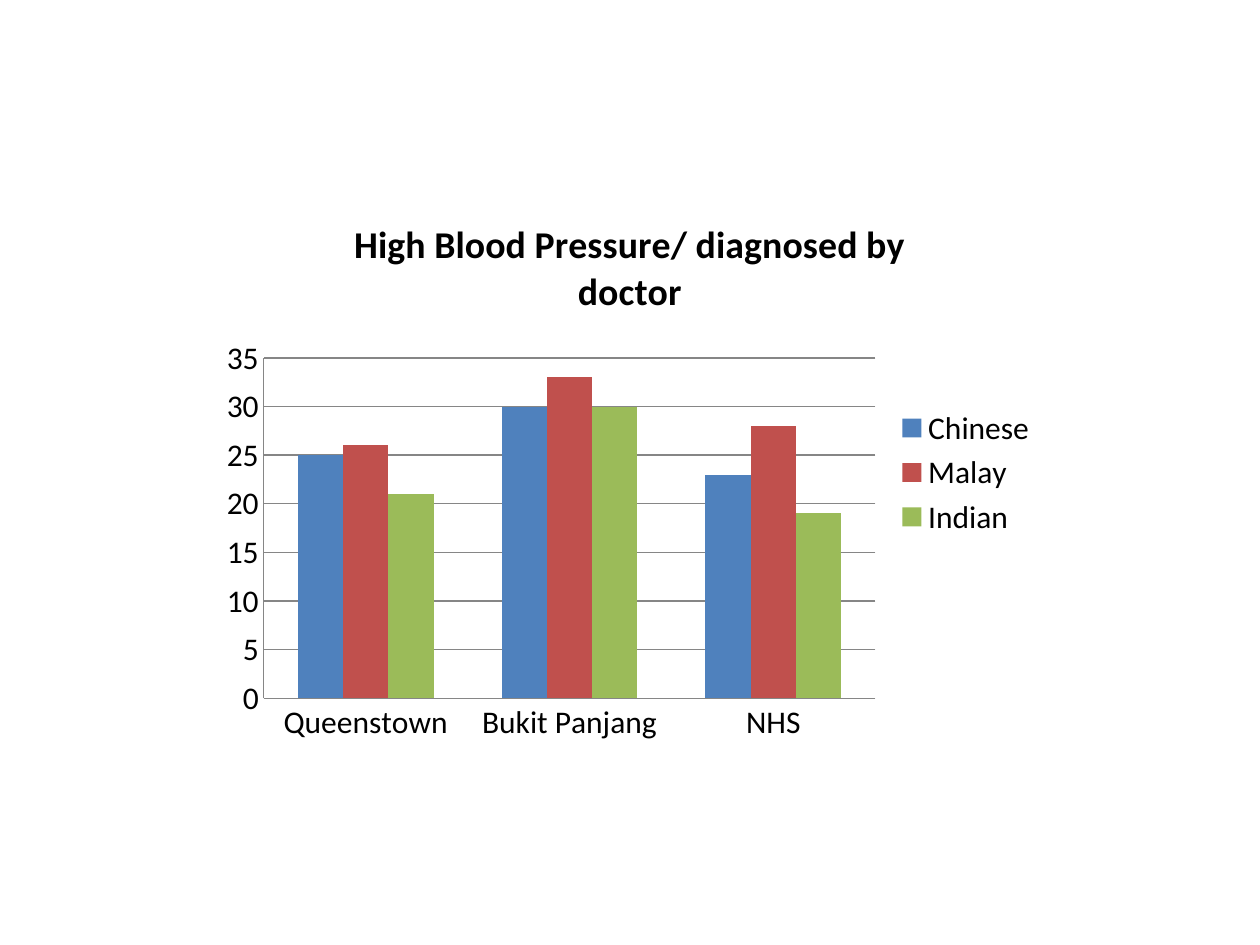
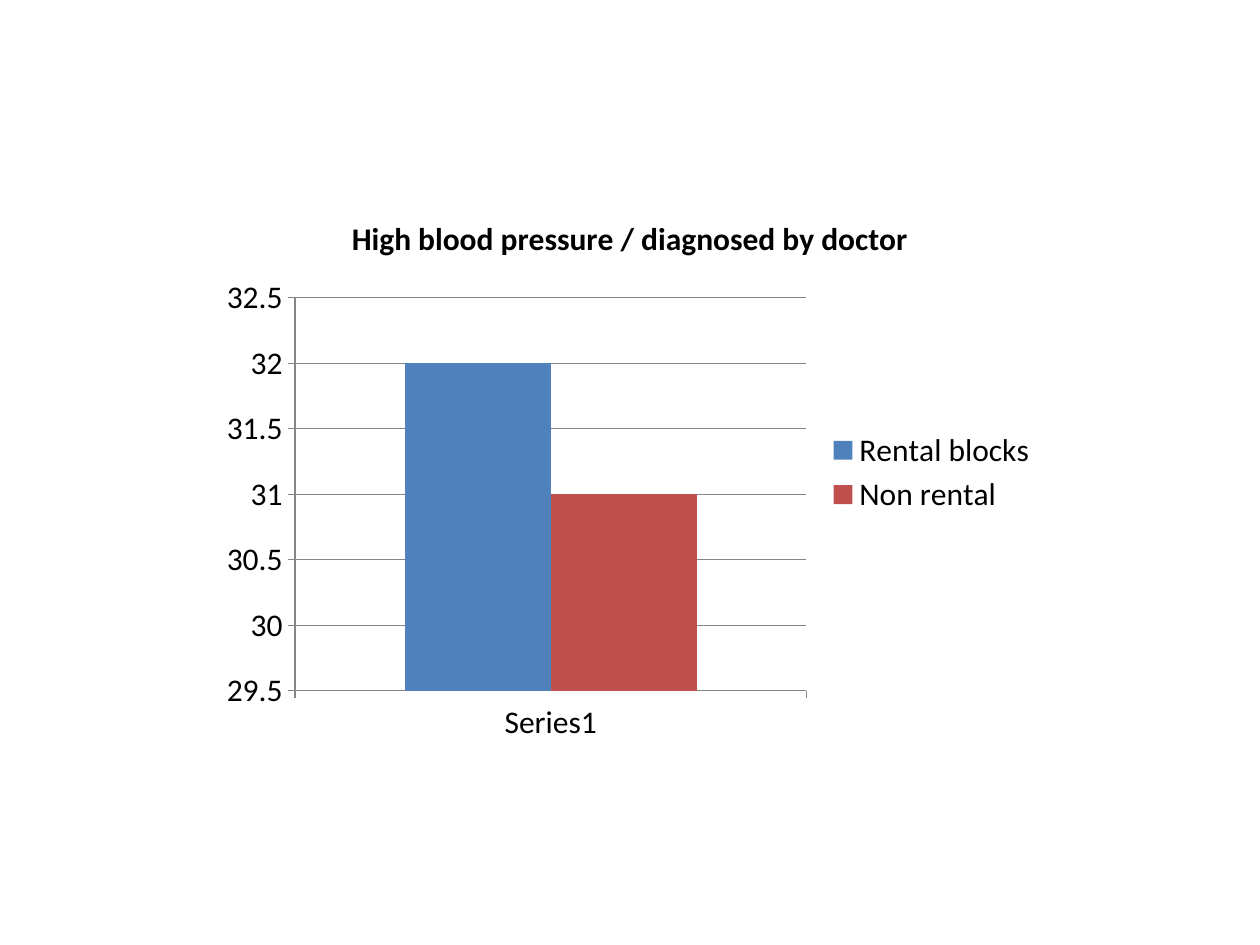
"""Build two slides of column charts on diagnosed high blood pressure."""

from dataclasses import dataclass

from pptx import Presentation
from pptx.chart.axis import CategoryAxis, ValueAxis
from pptx.chart.data import CategoryChartData
from pptx.dml.color import RGBColor
from pptx.dml.line import LineFormat
from pptx.enum.chart import XL_CHART_TYPE, XL_LEGEND_POSITION, XL_TICK_MARK
from pptx.presentation import Presentation as Deck
from pptx.text.text import Font
from pptx.util import Inches, Pt

COLUMNS = XL_CHART_TYPE.COLUMN_CLUSTERED
LEGEND_RIGHT = XL_LEGEND_POSITION.RIGHT
TICK_NONE = XL_TICK_MARK.NONE
TICK_OUT = XL_TICK_MARK.OUTSIDE
BLANK_LAYOUT = 6


@dataclass(frozen=True)
class Theme:
    """Colours, type sizes and proportions shared by the slides."""

    font: str = "Calibri"
    text: str = "000000"
    line: str = "868686"
    series: tuple[str, ...] = ("4F81BD", "C0504D", "9BBB59")
    body_size: float = 18
    large_title_size: float = 21.6
    line_width: float = 0.75
    gap_width: int = 150
    chart_width: float = 2 / 3
    chart_height: float = 16 / 27


THEME = Theme()


@dataclass(frozen=True)
class ColumnChart:
    """One chart slide: its wording, values and value scale."""

    title: str
    title_size: float
    categories: tuple[str, ...]
    series: dict[str, tuple[int, ...]]
    scale: tuple[float, float, float]
    tick_mark: XL_TICK_MARK


CHARTS = (
    ColumnChart(
        title="High Blood Pressure/ diagnosed by doctor",
        title_size=THEME.large_title_size,
        categories=("Queenstown", "Bukit Panjang", "NHS"),
        series={
            "Chinese": (25, 30, 23),
            "Malay": (26, 33, 28),
            "Indian": (21, 30, 19),
        },
        scale=(0, 35, 5),
        tick_mark=TICK_NONE,
    ),
    ColumnChart(
        title="High blood pressure / diagnosed by doctor",
        title_size=THEME.body_size,
        categories=("Series1",),
        series={"Rental blocks": (32,), "Non rental": (31,)},
        scale=(29.5, 32.5, 0.5),
        tick_mark=TICK_OUT,
    ),
)


def set_format(target: object, values: dict[str, object]) -> None:
    """Set each named attribute of the target."""
    for name, value in values.items():
        setattr(target, name, value)


def style_font(font: Font, size: float, bold: bool = False) -> None:
    """Apply the theme's typeface and text colour."""
    set_format(font, {"name": THEME.font, "size": Pt(size), "bold": bold})
    font.color.rgb = RGBColor.from_string(THEME.text)


def style_line(line: LineFormat) -> None:
    """Apply the theme's thin grey line."""
    line.width = Pt(THEME.line_width)
    line.color.rgb = RGBColor.from_string(THEME.line)


def style_axis(axis: CategoryAxis | ValueAxis, tick_mark: XL_TICK_MARK) -> None:
    """Set the tick marks and line of an axis."""
    set_format(axis, {"major_tick_mark": tick_mark, "minor_tick_mark": TICK_NONE})
    style_line(axis.format.line)


def add_chart_slide(deck: Deck, content: ColumnChart) -> None:
    """Add a slide with one centred column chart."""
    page = deck.slides.add_slide(deck.slide_layouts[BLANK_LAYOUT])
    data = CategoryChartData(number_format="General")
    data.categories = content.categories
    for name, values in content.series.items():
        data.add_series(name, values)

    width = int(deck.slide_width * THEME.chart_width)
    height = int(deck.slide_height * THEME.chart_height)
    left = (deck.slide_width - width) // 2
    top = (deck.slide_height - height) // 2
    chart = page.shapes.add_chart(COLUMNS, left, top, width, height, data).chart
    style_font(chart.font, THEME.body_size)

    chart.has_title = True
    para = chart.chart_title.text_frame.paragraphs[0]
    span = para.add_run()
    span.text = content.title
    style_font(span.font, content.title_size, bold=True)

    chart.has_legend = True
    set_format(chart.legend, {"position": LEGEND_RIGHT, "include_in_layout": False})

    for axis in (chart.category_axis, chart.value_axis):
        style_axis(axis, content.tick_mark)
    scale_names = ("minimum_scale", "maximum_scale", "major_unit")
    set_format(chart.value_axis, dict(zip(scale_names, content.scale)))
    style_line(chart.value_axis.major_gridlines.format.line)

    plot = chart.plots[0]
    set_format(plot, {"gap_width": THEME.gap_width, "vary_by_categories": False})
    for series, color in zip(plot.series, THEME.series):
        series.format.fill.solid()
        series.format.fill.fore_color.rgb = RGBColor.from_string(color)


def main() -> None:
    """Build and save the deck."""
    deck = Presentation()
    set_format(deck, {"slide_width": Inches(10), "slide_height": Inches(7.5)})
    for content in CHARTS:
        add_chart_slide(deck, content)
    deck.save("out.pptx")


if __name__ == "__main__":
    main()
